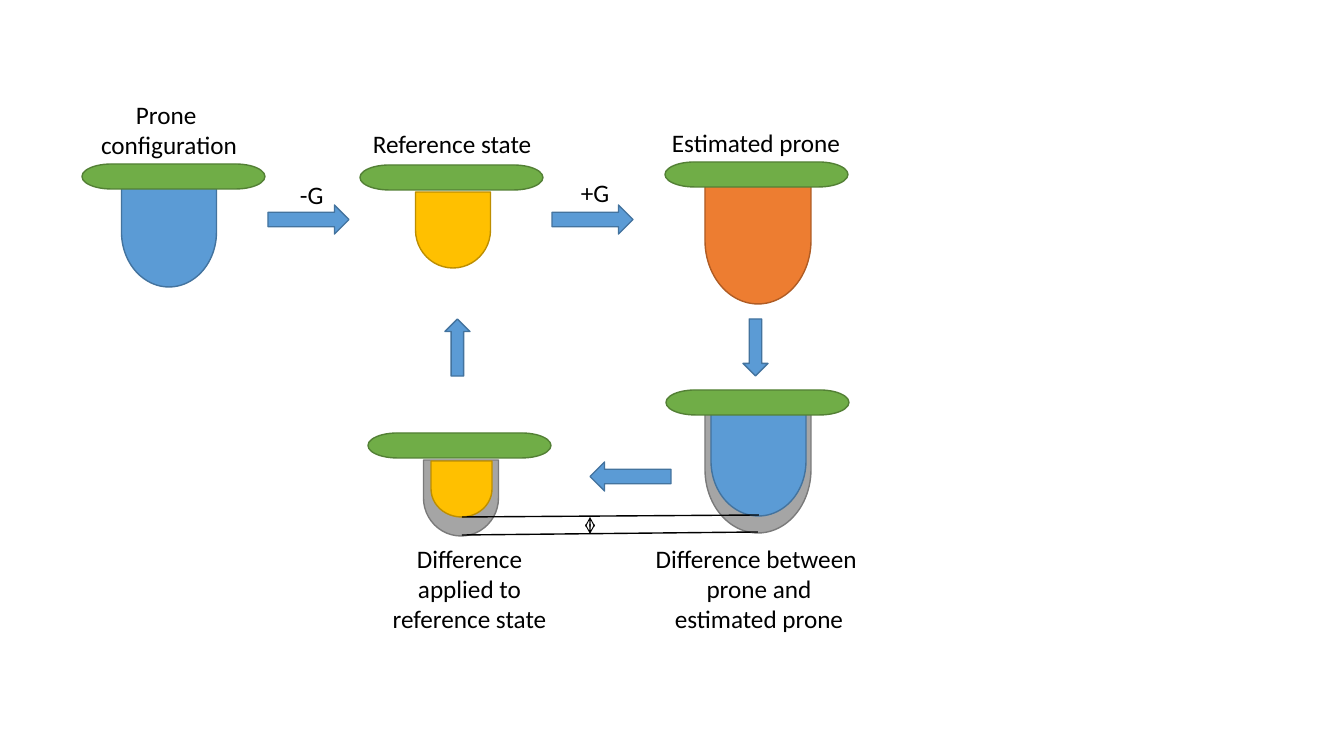
from dataclasses import dataclass

from lxml.etree import SubElement
from pptx import Presentation
from pptx.dml.color import RGBColor
from pptx.enum.shapes import MSO_CONNECTOR, MSO_SHAPE as Shape
from pptx.enum.text import MSO_AUTO_SIZE, PP_ALIGN as Align
from pptx.oxml.ns import qn
from pptx.util import Emu, Pt

COLORS = {
    "black": "000000",
    "blue": "5B9BD5", "blue_edge": "43739E",
    "green": "70AD47", "green_edge": "538035",
    "yellow": "FFC000", "yellow_edge": "BD8E00",
    "orange": "ED7D31", "orange_edge": "AF5C24",
    "grey": "A5A5A5", "grey_edge": "7A7A7A",
}
PLATE_W, PLATE_H = 183, 25


@dataclass
class Bowl:
    center: float
    top: int
    width: int
    height: int
    color: str


@dataclass
class Plate:
    left: int
    top: int


@dataclass
class Arrow:
    left: int
    top: int
    width: int
    height: int
    turn: int = 0


@dataclass
class Line:
    x1: int
    y1: int
    x2: int
    y2: int
    weight: float = 1
    heads: bool = False


@dataclass
class Label:
    text: str
    left: int
    top: int
    width: int
    height: int
    align: Align = Align.LEFT
    wrap: bool = False


BOWLS = [
    Bowl(758, 177, 106, 127, "orange"),
    Bowl(169, 177, 95, 110, "blue"),
    Bowl(453, 192, 75, 76, "yellow"),
    Bowl(758, 406, 106, 127, "grey"),
    Bowl(758.5, 406, 95, 110, "blue"),
    Bowl(461, 460, 75, 76, "grey"),
    Bowl(461.5, 461, 61, 56, "yellow"),
]
PLATES = [Plate(82, 164), Plate(360, 165), Plate(665, 162), Plate(666, 390), Plate(368, 433)]
ARROWS = [
    Arrow(268, 205, 81, 29),
    Arrow(552, 205, 81, 29),
    Arrow(590, 462, 81, 29, 180),
    Arrow(429, 335, 57, 25, 270),
    Arrow(727, 335, 57, 25, 90),
]
LINES = [
    Line(759, 515, 462, 517),
    Line(758, 532, 462, 535),
    Line(590, 517, 590, 534, 0.75, True),
]
LABELS = [
    Label("Prone \nconfiguration", 90, 94, 158, 71, Align.CENTER),
    Label("-G", 290, 174, 44, 40),
    Label("+G", 571, 172, 49, 40),
    Label("Reference state", 363, 123, 180, 40),
    Label("Estimated prone", 662, 122, 191, 40),
    Label("Difference between \nprone and estimated prone", 645, 538, 228, 102, Align.CENTER, True),
    Label("Difference applied to reference state", 368, 538, 203, 102, Align.CENTER, True),
]


def px(n: float) -> Emu:
    return Emu(round(n * 914400 / 100.8))


def rgb(name: str) -> RGBColor:
    return RGBColor.from_string(COLORS[name])


def add_block(kind: Shape, left: float, top: float, width: float, height: float,
              color: str, turn: int = 0) -> None:
    sp = s.shapes.add_shape(kind, px(left), px(top), px(width), px(height))
    sp.rotation = turn
    sp.shadow.inherit = False
    sp.fill.solid()
    sp.fill.fore_color.rgb = rgb(color)
    sp.line.color.rgb = rgb(color + "_edge")
    sp.line.width = Pt(1)


def add_bowl(b: Bowl) -> None:
    left = b.center - b.height / 2
    top = b.top + (b.height - b.width) / 2
    add_block(Shape.FLOWCHART_DELAY, left, top, b.height, b.width, b.color, 90)


def add_line(ln: Line) -> None:
    c = s.shapes.add_connector(MSO_CONNECTOR.STRAIGHT, px(ln.x1), px(ln.y1), px(ln.x2), px(ln.y2))
    c.line.color.rgb = rgb("black")
    c.line.width = Pt(ln.weight)
    if ln.heads:
        for end in ("a:headEnd", "a:tailEnd"):
            SubElement(c.line._get_or_add_ln(), qn(end), type="arrow")
    SubElement(c._element.spPr, qn("a:effectLst"))


def add_text(text: str, left: int, top: int, width: int, height: int, *,
             align: Align = Align.LEFT, wrap: bool = False, size: int = 18,
             font: str = "Calibri", color: str = "black") -> None:
    tf = s.shapes.add_textbox(px(left), px(top), px(width), px(height)).text_frame
    tf.word_wrap = wrap
    tf.auto_size = MSO_AUTO_SIZE.SHAPE_TO_FIT_TEXT
    tf.text = text
    for p in tf.paragraphs:
        p.alignment = align
        for r in p.runs:
            r.font.name = font
            r.font.size = Pt(size)
            r.font.color.rgb = rgb(color)


prs = Presentation()
prs.slide_width, prs.slide_height = px(1344), px(756)
s = prs.slides.add_slide(prs.slide_layouts[6])

for bowl in BOWLS:
    add_bowl(bowl)
for plate in PLATES:
    add_block(Shape.FLOWCHART_TERMINATOR, plate.left, plate.top, PLATE_W, PLATE_H, "green")
for a in ARROWS:
    add_block(Shape.RIGHT_ARROW, a.left, a.top, a.width, a.height, "blue", a.turn)
for line in LINES:
    add_line(line)
for lb in LABELS:
    add_text(lb.text, lb.left, lb.top, lb.width, lb.height, align=lb.align, wrap=lb.wrap)

prs.save("out.pptx")
